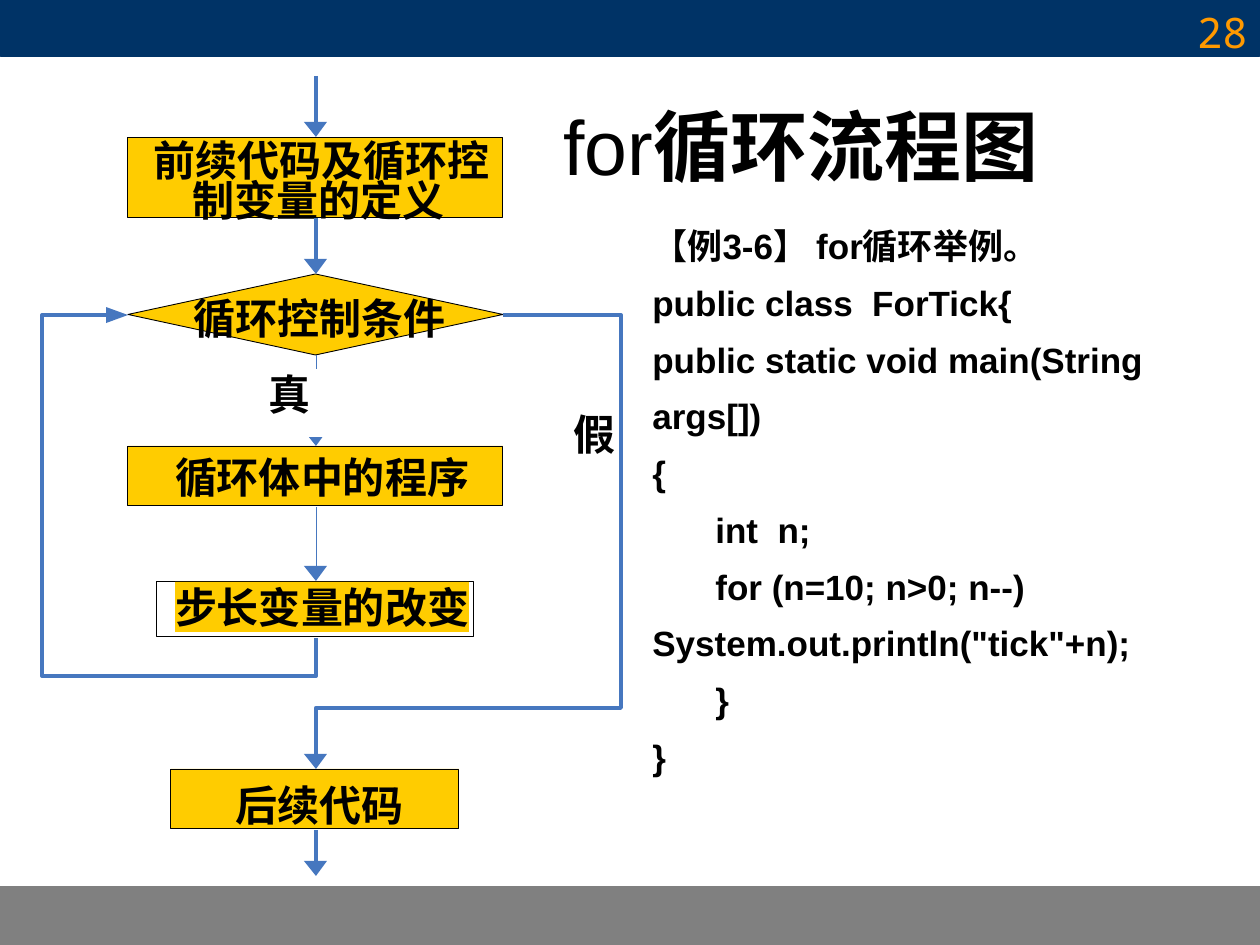
import pptx
import pptx.util
import pptx.dml.color
import pptx.enum.shapes
import pptx.enum.text
import pptx.oxml.ns
import lxml.etree

PX = pptx.util.Inches(1) / 126
THEME = {
    "navy": "003366", "gray": "808080", "gold": "FFCC00", "blue": "4677BF",
    "white": "FFFFFF", "black": "000000", "orange": "FF9900",
    "latin": "Arial", "cjk": "Noto Sans CJK SC", "mono": "Noto Sans Mono",
    "title": 44, "label": 24, "code": 20, "thin": 0.5, "thick": 2.25,
}
KIND = pptx.enum.shapes.MSO_SHAPE
ALIGN = pptx.enum.text.PP_ALIGN
ANCHOR = pptx.enum.text.MSO_ANCHOR

deck = pptx.Presentation()
deck.slide_width = pptx.util.Inches(10)
deck.slide_height = pptx.util.Inches(7.5)
slide = deck.slides.add_slide(deck.slide_layouts[6])
shapes = slide.shapes


def text(lines, box, size="label", face="cjk", color="black", bold=True, lead="",
         pad=(0, 0), wrap=False, align=ALIGN.LEFT, anchor=ANCHOR.TOP,
         gap=None, fill=None):
    item = shapes.add_textbox(*[round(v * PX) for v in box])
    if fill:
        item.fill.solid()
        item.fill.fore_color.rgb = pptx.dml.color.RGBColor.from_string(THEME[fill])
    frame = item.text_frame
    frame.word_wrap = wrap
    frame.vertical_anchor = anchor
    frame.margin_left = frame.margin_right = pptx.util.Inches(pad[0])
    frame.margin_top = frame.margin_bottom = pptx.util.Inches(pad[1])
    for i, line in enumerate(lines):
        para = frame.add_paragraph() if i else frame.paragraphs[0]
        para.alignment = align
        para.line_spacing = gap
        for words, heavy in ((lead, False), (line, bold)):
            if not words:
                continue
            run = para.add_run()
            run.text = words
            run.font.size = pptx.util.Pt(THEME[size])
            run.font.bold = heavy
            run.font.name = THEME[face]
            run.font.color.rgb = pptx.dml.color.RGBColor.from_string(THEME[color])
            east = lxml.etree.SubElement(run.font._element, pptx.oxml.ns.qn("a:ea"))
            east.set("typeface", THEME["cjk"])


def paint(item, fill=None, line=None, width="thin"):
    item.shadow.inherit = False
    if fill:
        item.fill.solid()
        item.fill.fore_color.rgb = pptx.dml.color.RGBColor.from_string(THEME[fill])
    else:
        item.fill.background()
    if line:
        item.line.color.rgb = pptx.dml.color.RGBColor.from_string(THEME[line])
        item.line.width = pptx.util.Pt(THEME[width])
    else:
        item.line.fill.background()


# Bars, boxes and the test diamond
MID = 316
for kind, box, fill, line in (
    (KIND.RECTANGLE, (0, 886, 1260, 59), "gray", None),
    (KIND.RECTANGLE, (0, 0, 1260, 56), "navy", "navy"),
    (KIND.RECTANGLE, (128, 137, 375, 80), "gold", "black"),
    (KIND.DIAMOND, (128, 274, 375, 81), "gold", "black"),
    (KIND.RECTANGLE, (128, 446, 375, 60), "gold", "black"),
    (KIND.RECTANGLE, (156, 581, 318, 56), "white", "black"),
    (KIND.RECTANGLE, (171, 769, 288, 60), "gold", "black"),
):
    paint(shapes.add_shape(kind, *[round(v * PX) for v in box]), fill, line)

# Box labels, one square cell of 42 px for each character
for words, left, top, fill in (
    ("前续代码及循环控", 154, 135, None),
    ("制变量的定义", 193, 175, None),
    ("循环控制条件", 194, 293, None),
    ("循环体中的程序", 175, 452, None),
    ("步长变量的改变", 175, 582, "gold"),
    ("后续代码", 236, 780, None),
    ("假", 573, 409, None),
):
    text([words], (left, top, 42 * len(words), 50), fill=fill)

# Straight stems: start, tip, weight
for start, tip, width in (
    (76, 137, "thick"), (218, 274, "thick"), (355, 446, "thin"),
    (507, 581, "thin"), (830, 876, "thick"),
):
    stem = shapes.add_connector(
        pptx.enum.shapes.MSO_CONNECTOR.STRAIGHT,
        *[round(v * PX) for v in (MID, start, MID, tip - 13)])
    stem.line.color.rgb = pptx.dml.color.RGBColor.from_string(THEME["blue"])
    stem.line.width = pptx.util.Pt(THEME[width])
    lxml.etree.SubElement(stem._element.spPr, pptx.oxml.ns.qn("a:effectLst"))

# Bent paths for the exit and the loop back, then every arrowhead
bends = [
    [(503, 315), (621, 315), (621, 708), (MID, 708), (MID, 756)],
    [(MID, 638), (MID, 676), (42, 676), (42, 315), (108, 315)],
]
heads = [[(MID + 11, tip - 15), (MID, tip), (MID - 12, tip - 15)]
         for tip in (137, 274, 446, 581, 769, 876)]
heads.append([(106, 307), (128, 315), (106, 323)])
for points in bends + heads:
    solid = points in heads
    pen = shapes.build_freeform(*points[0], scale=PX)
    pen.add_line_segments(points[1:], close=solid)
    if solid:
        paint(pen.convert_to_shape(), fill="blue")
    else:
        paint(pen.convert_to_shape(), line="blue", width="thick")

# The true branch label sits in a gap in its stem
cover = shapes.add_shape(KIND.RECTANGLE, *[round(v * PX) for v in (267, 369, 77, 68)])
paint(cover, "white")
text(["真"], (268, 369, 42, 50))

# Title, code and page number
text(["循环流程图"], (551, 66, 540, 157), size="title", face="latin", lead="for",
     pad=(0.1, 0.05), wrap=True, anchor=ANCHOR.MIDDLE)
text([
    "【例3-6】 for循环举例。",
    "public class  ForTick{",
    "public static void main(String args[])",
    "{",
    "\tint  n;",
    "\tfor (n=10; n>0; n--)\t\tSystem.out.println(\"tick\"+n);",
    "\t}",
    "}",
], (640, 204, 620, 580), size="code", face="latin", pad=(0.1, 0.05), wrap=True, gap=1.35)
text(["28"], (966, 0, 294, 66), face="mono", color="orange", bold=False,
     pad=(0.1, 0.05), wrap=True, align=ALIGN.RIGHT)

deck.save("out.pptx")
